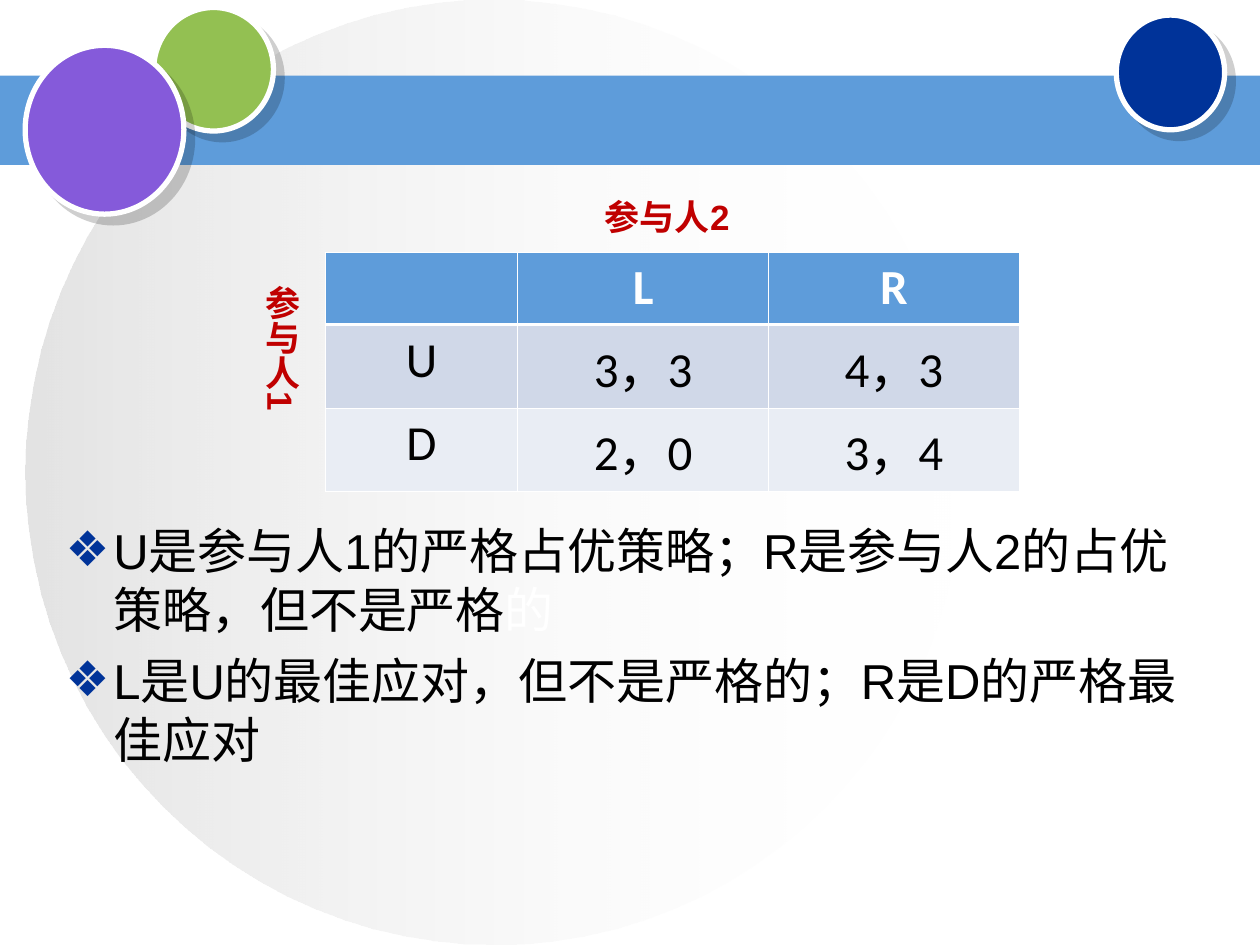
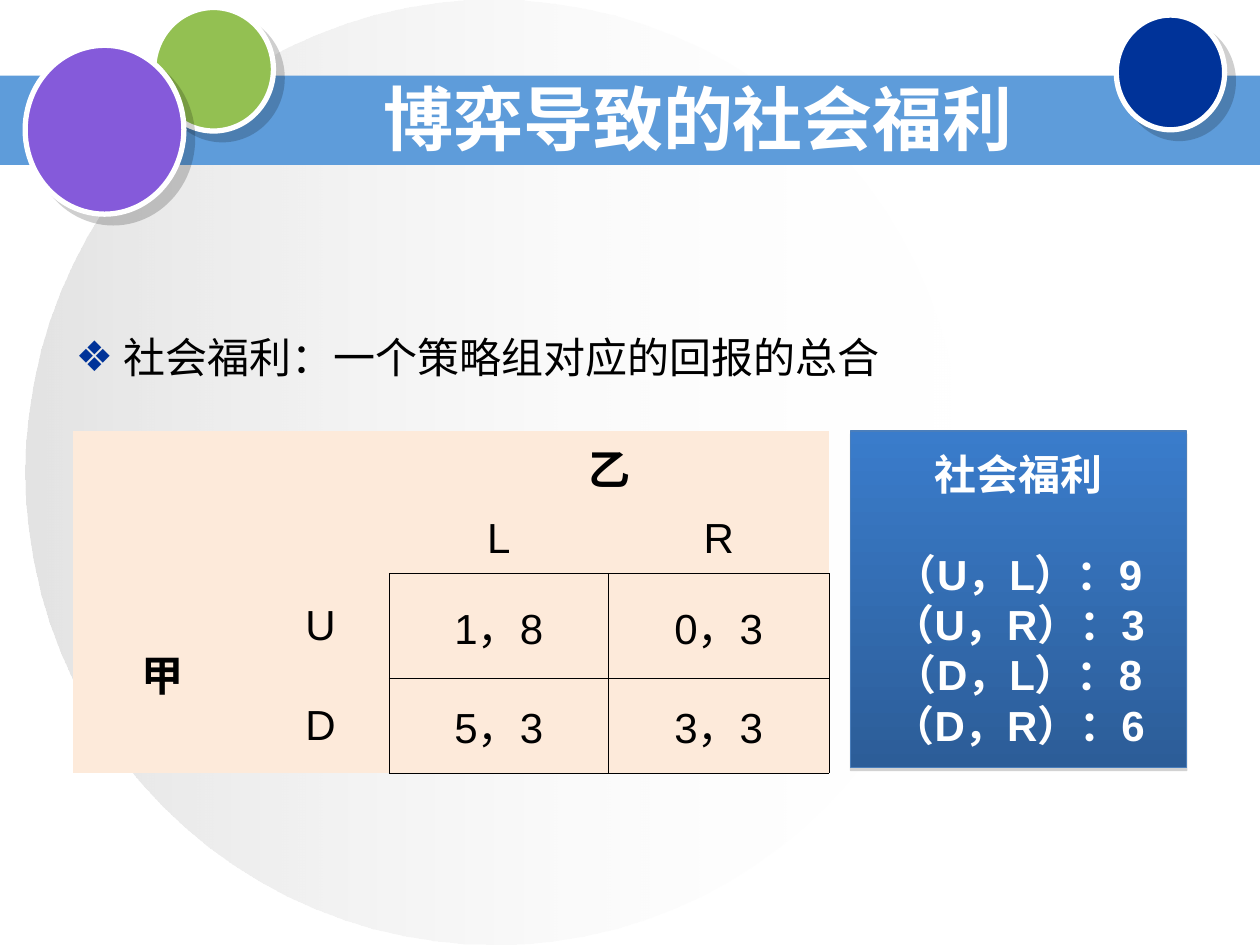
from pptx import Presentation
from pptx.dml.color import RGBColor
from pptx.enum import shapes, text
from pptx.oxml import parse_xml
from pptx.oxml.ns import nsdecls, qn
from pptx.util import Inches, Pt

BLUE, NAVY, WHITE, BLACK, RED = "5E9CDA", "003399", "FFFFFF", "000000", "C00000"
PEACH = "FDEADA"
CENTER = text.PP_ALIGN.CENTER
rgb = RGBColor.from_string


def write(para, content, size=24, color=BLACK, bold=False, font="Arial",
          align=None, before=0, bullet=False):
    """Add a formatted span to a paragraph."""
    para.space_before = Pt(before)
    if align is not None:
        para.alignment = align
    if bullet:
        props = para._p.get_or_add_pPr()
        props.set("marL", str(Inches(0.38)))
        props.set("indent", str(-Inches(0.38)))
        props.append(parse_xml(f'<a:buClr {nsdecls("a")}><a:srgbClr val="{NAVY}"/></a:buClr>'))
        props.append(parse_xml(f'<a:buChar {nsdecls("a")} char="❖"/>'))
    span = para.add_run()
    span.text = content
    span.font.size, span.font.bold, span.font.name = Pt(size), bold, font
    span.font.color.rgb = rgb(color)


def fill_cell(cell, content, fill, edges, **style):
    """Set the borders, fill and text of a table cell; edges maps a side to (colour, points)."""
    props = cell._tc.get_or_add_tcPr()
    for side in "LRTB":
        color, width = edges.get(side, (None, 0))
        ink = f'<a:solidFill><a:srgbClr val="{color}"/></a:solidFill>' if color else "<a:noFill/>"
        props.append(parse_xml(f'<a:ln{side} {nsdecls("a")} w="{Pt(width)}">{ink}</a:ln{side}>'))
    cell.fill.solid()
    cell.fill.fore_color.rgb = rgb(fill)
    if content:
        write(cell.text_frame.paragraphs[0], content, align=CENTER, **style)


deck = Presentation()
deck.slide_width, deck.slide_height = Inches(10), Inches(7.5)
strategy_page, welfare_page = [deck.slides.add_slide(deck.slide_layouts[1]) for _ in range(2)]

# Shared background: glow, band and three circles, placed on the master
master_tree = deck.slide_master.element.cSld.spTree
OVAL, RECT = shapes.MSO_SHAPE.OVAL, shapes.MSO_SHAPE.RECTANGLE
decorations = [
    (OVAL, (0.2, 0, 7.44, 7.5), None),
    (RECT, (0, 0.6, 10, 0.71), BLUE),
    (OVAL, (1.22, 0.06, 0.95, 0.98), "93C052"),
    (OVAL, (8.86, 0.12, 0.86, 0.91), NAVY),
    (OVAL, (0.2, 0.36, 1.26, 1.34), "855ADA"),
]
shadowed = []
for order, (kind, place, color) in enumerate(decorations):
    shape = strategy_page.shapes.add_shape(kind, *map(Inches, place))
    shape.shadow.inherit = False
    shape.line.fill.background()
    if color:
        shape.fill.solid()
        shape.fill.fore_color.rgb = rgb(color)
    else:
        shape.fill.gradient()
        shape.fill.gradient_angle = 0
        for stop, shade in zip(shape.fill.gradient_stops, ("C0C0C0", WHITE)):
            stop.color.rgb = rgb(shade)
        for tone, opacity in zip(shape.element.spPr.iter(qn("a:srgbClr")), (44, 0)):
            tone.append(parse_xml(f'<a:alpha {nsdecls("a")} val="{opacity * 1000}"/>'))
    if order > 1:
        shape.line.color.rgb = rgb(WHITE)
        shape.line.width = Pt(3)
        shadowed.append((shape, BLACK, 19, 7.1, 45))
    shape.element.nvSpPr.cNvPr.set("id", str(100 + order))
    master_tree.insert(2 + order, shape.element)

# Titles
unused_title = strategy_page.shapes.title.element
unused_title.getparent().remove(unused_title)
title = welfare_page.shapes.title
title.left, title.top, title.width, title.height = map(Inches, (2.25, 0.67, 6.58, 0.53))
title.text_frame.auto_size = text.MSO_AUTO_SIZE.NONE
title.text_frame.vertical_anchor = text.MSO_ANCHOR.MIDDLE
write(title.text_frame.paragraphs[0], "博弈导致的社会福利", size=40, color=WHITE, bold=True, align=CENTER)

# Bulleted lists
lists = [
    (strategy_page, (0.42, 4.08, 9.17, 2.17), 28,
     ["U是参与人1的严格占优策略；R是参与人2的占优策略，但不是严格",
      "L是U的最佳应对，但不是严格的；R是D的严格最佳应对"]),
    (welfare_page, (0.5, 2.58, 9, 0.67), 24, ["社会福利：一个策略组对应的回报的总合"]),
]
for page, place, size, items in lists:
    body = page.placeholders[1]
    body.left, body.top, body.width, body.height = map(Inches, place)
    frame = body.text_frame
    frame.auto_size = text.MSO_AUTO_SIZE.NONE
    for index, item in enumerate(items):
        para = frame.add_paragraph() if index else frame.paragraphs[0]
        write(para, item, size=size, before=7 if index else 0, bullet=True)
write(strategy_page.placeholders[1].text_frame.paragraphs[0], "的", size=28, color=WHITE)

# Payoff tables
tables = []
for page, place, widths, heights in [
    (strategy_page, (2.58, 2, 5.5, 1.7), (1.53, 1.99, 1.99), (0.57, 0.57, 0.57)),
    (welfare_page, (0.58, 3.42, 6, 2.67), (1.42, 1.09, 1.74, 1.75), (0.53, 0.55, 0.83, 0.75)),
]:
    table = page.shapes.add_table(len(heights), len(widths), *map(Inches, place)).table
    table.first_row = table.horz_banding = False
    for column, width in zip(table.columns, widths):
        column.width = Inches(width)
    for row, height in zip(table.rows, heights):
        row.height = Inches(height)
    tables.append(table)
strategy_table, welfare_table = tables

thin, thick = (WHITE, 0.45), (WHITE, 1.47)
strategy_rows = [["", "L", "R"], ["U", "3，3", "4，3"], ["D", "2，0", "3，4"]]
for r, (row, fill) in enumerate(zip(strategy_rows, (BLUE, "D0D8E8", "E9EDF4"))):
    edges = {"L": thin, "R": thin, "T": thick if r == 1 else thin, "B": thin if r else thick}
    for c, content in enumerate(row):
        fill_cell(strategy_table.cell(r, c), content, fill, edges, size=28, font="Calibri",
                  color=BLACK if r else WHITE, bold=r == 0)

welfare_table.cell(0, 2).merge(welfare_table.cell(0, 3))
welfare_table.cell(2, 0).merge(welfare_table.cell(3, 0))
welfare_rows = [["", "", "乙", ""], ["", "", "L", "R"],
                ["甲", "U", "1，8", "0，3"], ["", "D", "5，3", "3，3"]]
for r, row in enumerate(welfare_rows):
    for c, content in enumerate(row):
        sides = "LRTB" if r > 1 and c > 1 else "B" if r == 1 and c > 1 else "R" if r > 1 and c == 1 else ""
        cell = welfare_table.cell(r, c)
        cell.vertical_anchor = text.MSO_ANCHOR.MIDDLE
        fill_cell(cell, content, PEACH, {side: (BLACK, 0.45) for side in sides},
                  bold=content in ("甲", "乙"))

# Player labels
for label, place, vertical in [("参与人1", (1.92, 2.17, 0.53, 1.33), True),
                               ("参与人2", (3.92, 1.5, 2.75, 0.44), False)]:
    box = strategy_page.shapes.add_textbox(*map(Inches, place))
    frame = box.text_frame
    frame.word_wrap = True
    frame.auto_size = text.MSO_AUTO_SIZE.SHAPE_TO_FIT_TEXT
    if vertical:
        frame.margin_left = frame.margin_right = Inches(0.05)
        frame.margin_top = frame.margin_bottom = Inches(0.1)
        box.element.txBody.bodyPr.set("vert", "eaVert")
    write(frame.paragraphs[0], label, size=20, color=RED, bold=True,
          align=None if vertical else CENTER)

# Welfare panel
panel = welfare_page.shapes.add_shape(RECT, *map(Inches, (6.75, 3.42, 2.67, 2.67)))
panel.shadow.inherit = False
panel.fill.gradient()
panel.fill.gradient_angle = 270
for stop, shade in zip(panel.fill.gradient_stops, ("3A7CCB", "2C5D98")):
    stop.color.rgb = rgb(shade)
panel.line.color.rgb = rgb("4A7EBB")
panel.line.width = Pt(0.75)
shadowed.append((panel, "808080", 35, 1.8, 90))
frame = panel.text_frame
frame.word_wrap = True
frame.vertical_anchor = text.MSO_ANCHOR.MIDDLE
for index, line in enumerate(["社会福利", "（U，L）：9", "（U，R）：3", "（D，L）：8", "（D，R）：6"]):
    para = frame.add_paragraph() if index else frame.paragraphs[0]
    write(para, line, color=WHITE, bold=True, align=CENTER, before=28 if index == 1 else 0)

# Hard-edged shadows
for shape, color, opacity, distance, angle in shadowed:
    shape.element.spPr.find(qn("a:effectLst")).append(parse_xml(
        f'<a:outerShdw {nsdecls("a")} blurRad="0" dist="{Pt(distance)}" dir="{angle * 60000}" '
        f'algn="ctr" rotWithShape="0"><a:srgbClr val="{color}">'
        f'<a:alpha val="{opacity * 1000}"/></a:srgbClr></a:outerShdw>'))

deck.save("out.pptx")
